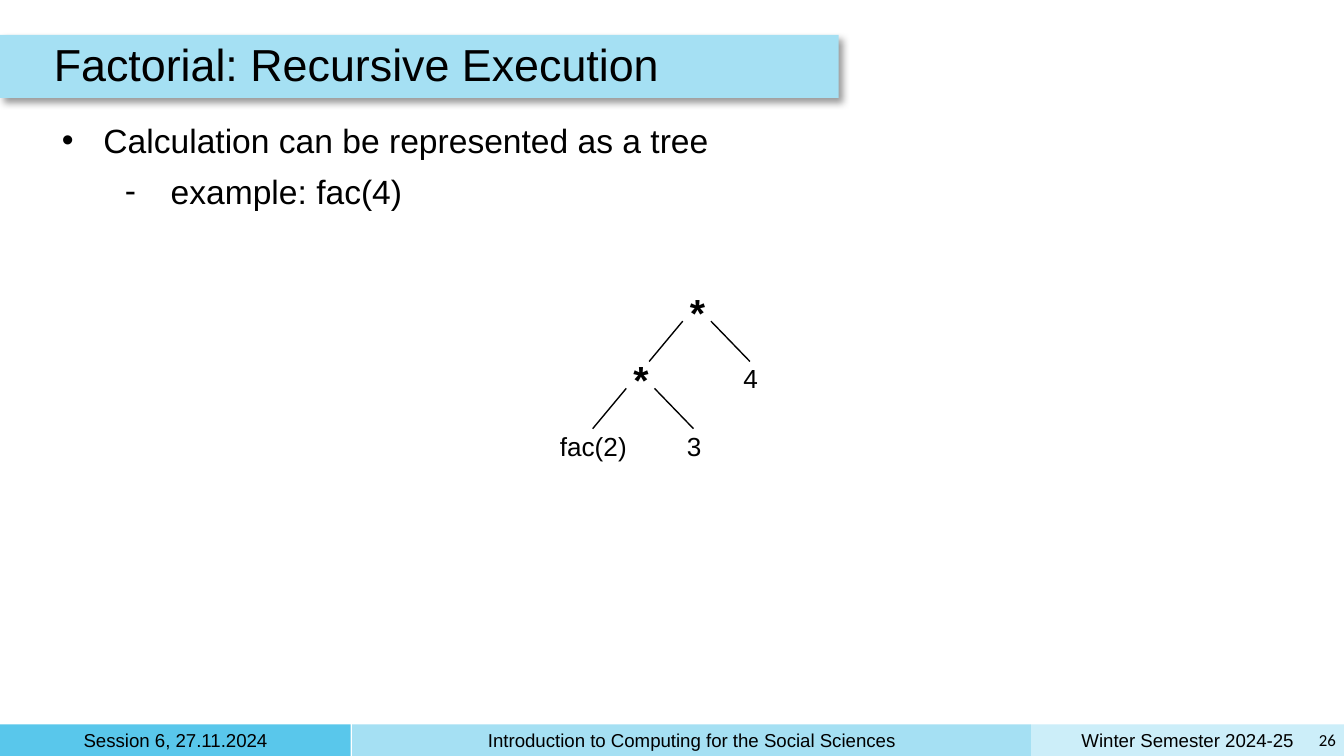
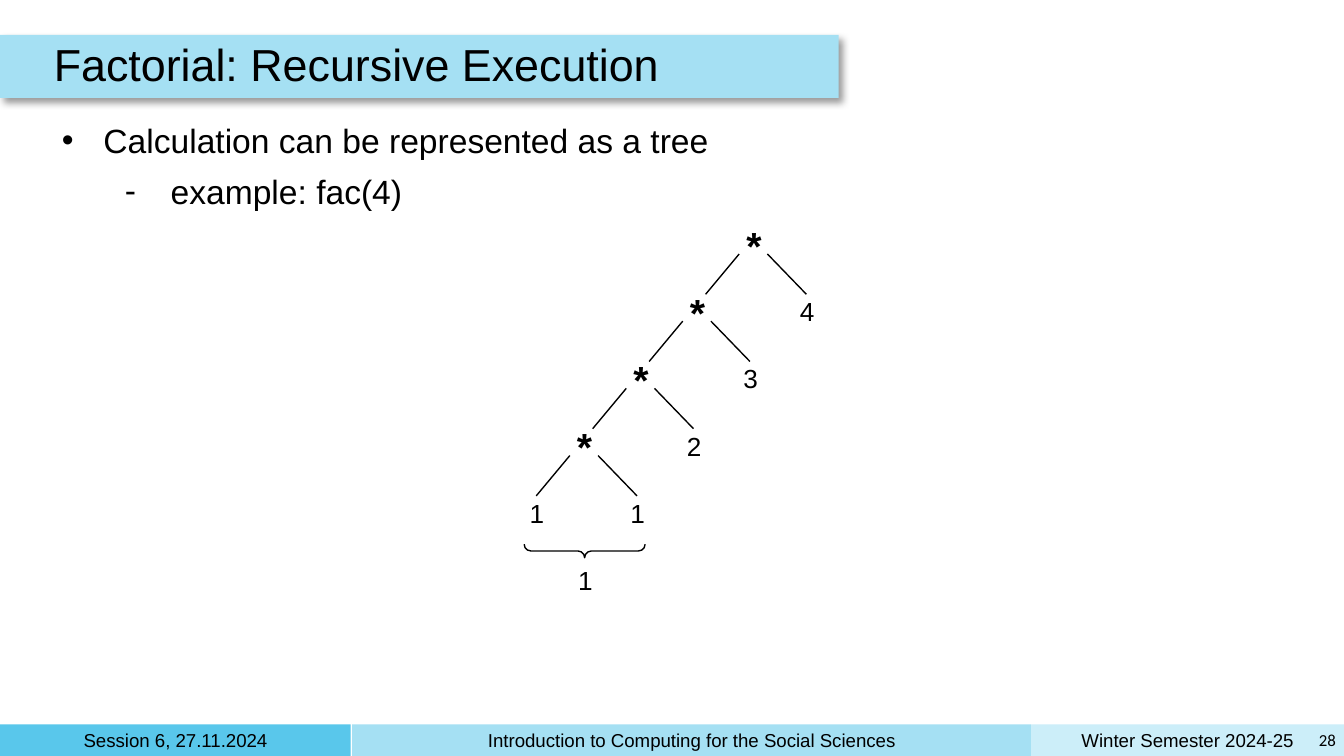
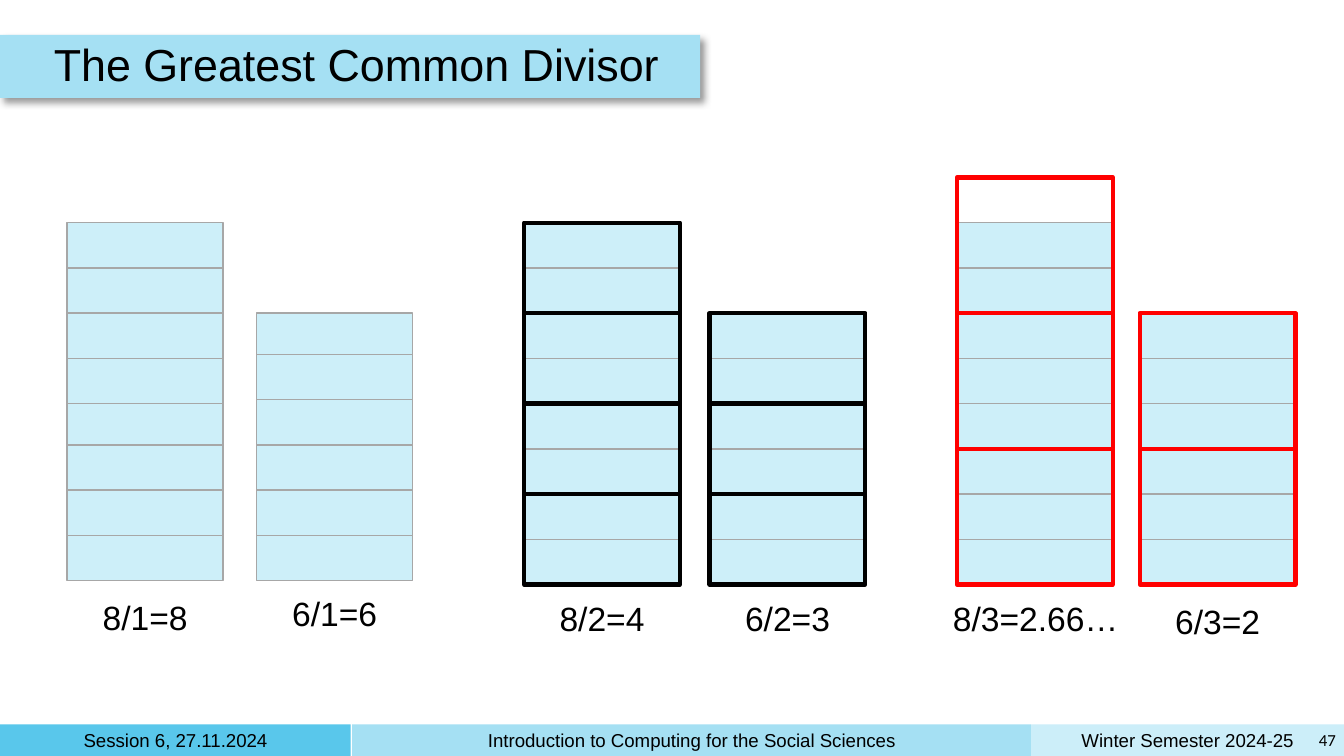
import math

import lxml.etree
import pptx
import pptx.dml.color
import pptx.enum.shapes
import pptx.enum.text
import pptx.oxml
import pptx.oxml.ns
import pptx.util

Inches = pptx.util.Inches
Pt = pptx.util.Pt
RGBColor = pptx.dml.color.RGBColor
SHAPE = pptx.enum.shapes.MSO_SHAPE
ALIGN = pptx.enum.text.PP_ALIGN
ANCHOR = pptx.enum.text.MSO_ANCHOR
qn = pptx.oxml.ns.qn

COLORS = {
    "text": "000000",
    "session": "59C7EB",
    "band": "A5E0F3",
    "semester": "CCEEF9",
    "cell": "CDEFF9",
    "cell_line": "A7A7A7",
    "divides": "000000",
    "fails": "FF0000",
}
SHADOW = (
    '<a:effectLst xmlns:a="http://schemas.openxmlformats.org/drawingml/2006/main">'
    '<a:outerShdw blurRad="50800" dist="38100" dir="2700000" algn="tl" rotWithShape="0">'
    '<a:srgbClr val="000000"><a:alpha val="40000"/></a:srgbClr>'
    "</a:outerShdw></a:effectLst>"
)
FOOTERS = [
    (7.67, 2.33, "semester", "Winter Semester 2024-25"),
    (0, 2.61, "session", "Session 6, 27.11.2024"),
    (2.62, 5.05, "band", "Introduction to Computing for the Social Sciences"),
]
BULLETS = [
    ("•", 0, 0.31, -0.33, "Calculation can be represented as a tree"),
    ("-", 1, 0.81, -0.34, "example: fac(4)"),
]
SLIDES = [
    {"title": "Factorial: Recursive Execution", "band": 6.24, "page": "26",
     "first_level": 1, "factors": ["4", "3"], "rest": "fac(2)", "result": None},
    {"title": "Factorial: Recursive Execution", "band": 6.24, "page": "28",
     "first_level": 0, "factors": ["4", "3", "2", "1"], "rest": "1", "result": "1"},
    {"title": "The Greatest Common Divisor", "band": 5.21, "page": "47"},
]
CELL_WIDTH = 1.16
CELL_HEIGHT = 1.01 / 3
BASE = 4.35
OVERLAP = 0.03
COLUMNS = [
    (0.5, 8, 1, None, 5, 0.5, 4.34, 1.16, "8/1=8"),
    (1.91, 6, 1, None, 1, 1.91, 4.31, 1.16, "6/1=6"),
    (3.9, 8, 2, "divides", 8, 3.9, 4.35, 1.16, "8/2=4"),
    (5.28, 6, 2, "divides", 6, 5.28, 4.35, 1.16, "6/2=3"),
    (7.12, 8, 3, "fails", 8, 6.99, 4.35, 1.43, "8/3=2.66…"),
    (8.48, 6, 3, "fails", 6, 8.48, 4.37, 1.16, "6/3=2"),
]


def add_box(slide, kind, left, top, width, height, fill=None, line=None, weight=0.75):
    shape = slide.shapes.add_shape(
        kind, Inches(left), Inches(top), Inches(width), Inches(height))
    shape.shadow.inherit = False
    if fill:
        shape.fill.solid()
        shape.fill.fore_color.rgb = RGBColor.from_string(COLORS[fill])
    else:
        shape.fill.background()
    if line:
        shape.line.color.rgb = RGBColor.from_string(COLORS[line])
        shape.line.width = Pt(weight)
    else:
        shape.line.fill.background()
    return shape


def write(shape, text, size, inset=0.05, align=ALIGN.CENTER, anchor=ANCHOR.MIDDLE,
          font="Arial", bold=False, paragraph=None):
    frame = shape.text_frame
    frame.word_wrap = True
    frame.auto_size = pptx.enum.text.MSO_AUTO_SIZE.NONE
    frame.vertical_anchor = anchor
    frame.margin_left = frame.margin_right = Inches(inset)
    frame.margin_top = frame.margin_bottom = Inches(inset)
    paragraph = paragraph or frame.paragraphs[0]
    paragraph.alignment = align
    run = paragraph.add_run()
    run.text = text
    run.font.name = font
    run.font.size = Pt(size)
    run.font.bold = bold
    run.font.color.rgb = RGBColor.from_string(COLORS["text"])
    return paragraph


presentation = pptx.Presentation()
presentation.slide_width = Inches(10)
presentation.slide_height = Inches(5.625)

for content in SLIDES:
    slide = presentation.slides.add_slide(presentation.slide_layouts[5])
    shapes = slide.shapes

    for left, width, color, text in FOOTERS:
        add_box(slide, SHAPE.RECTANGLE, left, 5.39, width, 0.24, color)
        label = shapes.add_textbox(
            Inches(left + 0.05), Inches(5.41), Inches(width - 0.1), Inches(0.19))
        write(label, text, 10)
    page = shapes.add_textbox(Inches(9.75), Inches(5.38), Inches(0.24), Inches(0.25))
    write(page, content["page"], 9, align=ALIGN.RIGHT, font="Calibri")

    band = add_box(slide, SHAPE.RECTANGLE, 0, 0.26, content["band"], 0.47, "band")
    properties = band.element.spPr
    properties.remove(properties.find(qn("a:effectLst")))
    properties.append(pptx.oxml.parse_xml(SHADOW))
    title = shapes.title
    title.left, title.top = Inches(0.35), Inches(0.26)
    title.width, title.height = Inches(8.6), Inches(0.47)
    title.element.addprevious(band.element)
    write(title, content["title"], 24, align=ALIGN.LEFT).line_spacing = 0.9

    if "factors" in content:
        body = shapes.add_textbox(Inches(0.41), Inches(0.84), Inches(9.19), Inches(0.79))
        for bullet_index, (mark, level, margin, indent, text) in enumerate(BULLETS):
            frame = body.text_frame
            paragraph = frame.add_paragraph() if bullet_index else frame.paragraphs[0]
            paragraph.level = level
            if level:
                paragraph.space_before = Pt(6)
            settings = paragraph._p.get_or_add_pPr()
            settings.set("marL", str(Inches(margin)))
            settings.set("indent", str(Inches(indent)))
            bullet_color = lxml.etree.SubElement(settings, qn("a:buClr"))
            lxml.etree.SubElement(bullet_color, qn("a:srgbClr"), val=COLORS["text"])
            lxml.etree.SubElement(settings, qn("a:buFont"), typeface="Arial")
            lxml.etree.SubElement(settings, qn("a:buChar"), char=mark)
            write(body, text, 18, align=ALIGN.LEFT, anchor=ANCHOR.TOP, paragraph=paragraph)

        leaves = []
        for level, factor in enumerate(content["factors"], content["first_level"]):
            left, top = 5.46 - 0.42 * level, 1.64 + 0.5 * level
            star = add_box(slide, SHAPE.OVAL, left, top, 0.3, 0.3)
            write(star, "*", 21, inset=0, bold=True)
            star.text_frame.margin_top = Inches(0.06)
            leaves.append((left + 0.26, top + 0.55, factor))
            for start, end in [(0.04, -0.21), (0.25, 0.54)]:
                branch = shapes.add_connector(
                    pptx.enum.shapes.MSO_CONNECTOR.STRAIGHT,
                    Inches(left + start), Inches(top + 0.25),
                    Inches(left + end), Inches(top + 0.55))
                branch.line.color.rgb = RGBColor.from_string(COLORS["text"])
                branch.line.width = Pt(0.75)
                lxml.etree.SubElement(branch.element.spPr, qn("a:effectLst"))
        leaves.append((left - 0.49, top + 0.55, content["rest"]))
        if content["result"]:
            brace = add_box(slide, SHAPE.RIGHT_BRACE, left + 0.1, top + 0.51, 0.1, 0.9,
                            line="text")
            brace.rotation = 90
            brace.adjustments[0] = 0.5
            leaves.append((left - 0.13, top + 1.05, content["result"]))
        for left, top, text in leaves:
            leaf = shapes.add_textbox(Inches(left), Inches(top), Inches(0.57), Inches(0.3))
            write(leaf, text, 14, inset=0.01, anchor=ANCHOR.TOP)
    else:
        for (left, cells, divisor, outline, overlapped,
             label_left, label_top, label_width, text) in COLUMNS:
            top = BASE - cells * CELL_HEIGHT
            for cell in range(cells):
                shift = OVERLAP if cell >= overlapped else 0
                add_box(slide, SHAPE.RECTANGLE, left, top + cell * CELL_HEIGHT - shift,
                        CELL_WIDTH, CELL_HEIGHT, "cell", "cell_line")
            if outline:
                group_height = divisor * CELL_HEIGHT
                for group in range(1, math.ceil(cells / divisor) + 1):
                    add_box(slide, SHAPE.RECTANGLE, left, BASE - group * group_height,
                            CELL_WIDTH, group_height, line=outline, weight=2.25)
            label = shapes.add_textbox(
                Inches(label_left), Inches(label_top), Inches(label_width), Inches(0.5))
            write(label, text, 18, inset=0.1, anchor=ANCHOR.TOP)

presentation.save("out.pptx")
